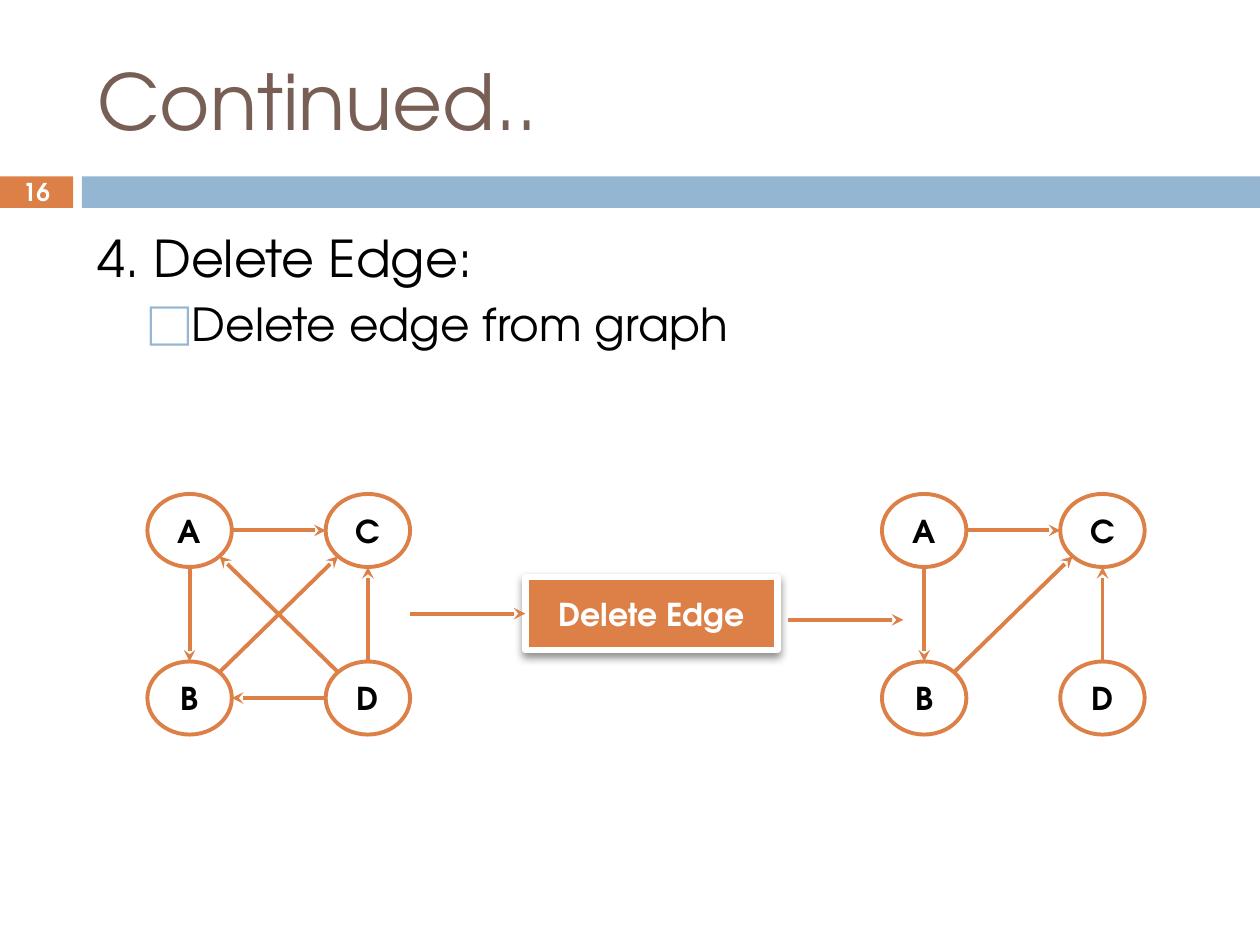
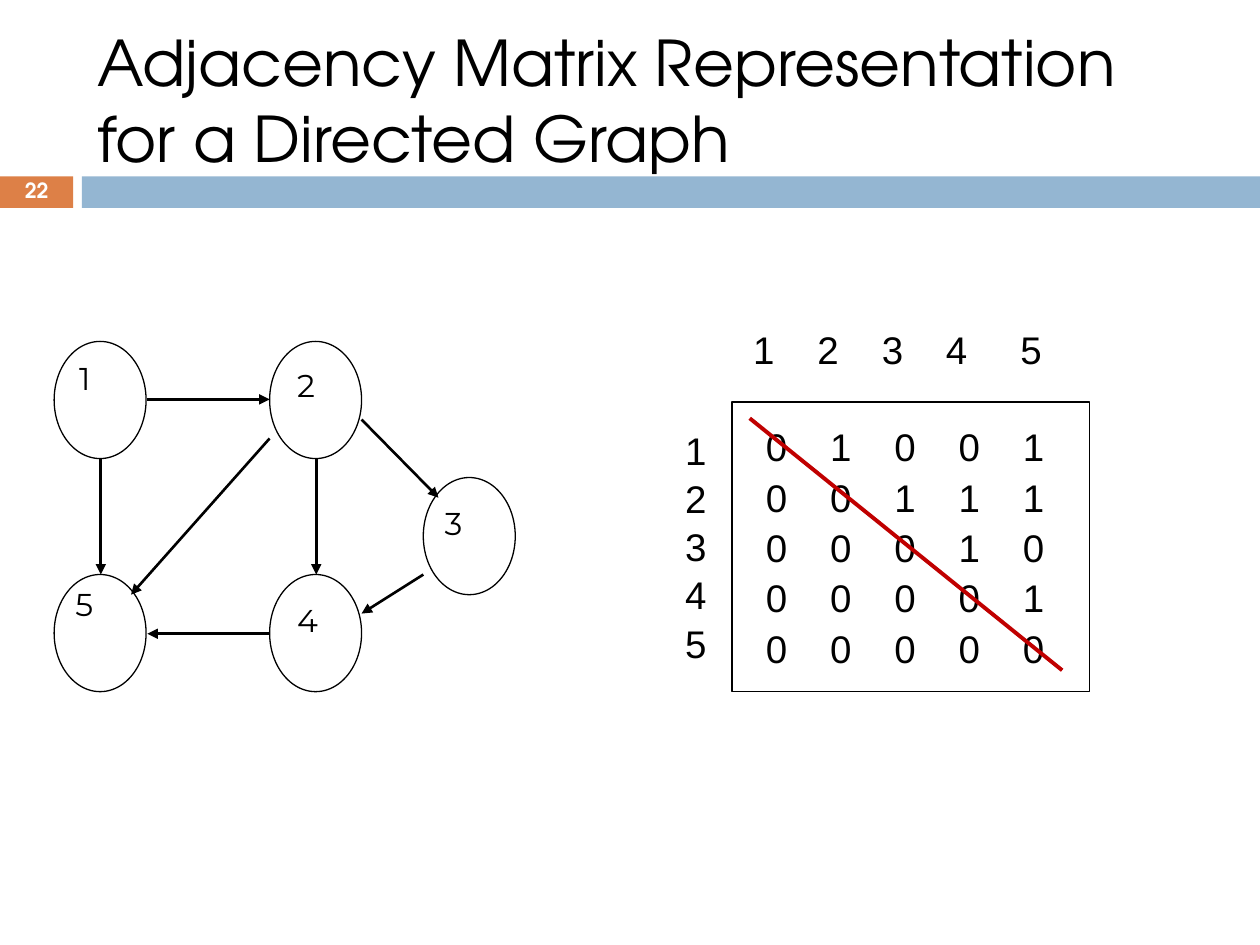
from math import hypot

from lxml import etree
from pptx import Presentation
from pptx.dml.color import RGBColor
from pptx.enum.shapes import MSO_CONNECTOR, MSO_SHAPE
from pptx.enum.text import MSO_ANCHOR, MSO_AUTO_SIZE, PP_ALIGN
from pptx.oxml.ns import qn
from pptx.util import Inches, Pt

LINE = MSO_CONNECTOR.STRAIGHT
RECT = MSO_SHAPE.RECTANGLE
OVAL = MSO_SHAPE.OVAL
LEFT = PP_ALIGN.LEFT
MID = PP_ALIGN.CENTER
TOP = MSO_ANCHOR.TOP
CENTER = MSO_ANCHOR.MIDDLE

ORANGE = "DD8047"
BLUE = "94B6D2"
BROWN = "775F55"
RED = "C00000"
BLACK = "000000"
WHITE = "FFFFFF"
MAIN = "TeX Gyre Adventor"
ARIAL = "Arial"
LABEL = "Montserrat"

NODE_W, NODE_H = 0.67, 0.58
STEP_X, STEP_Y = 1.415, 1.33
SPOTS = {"A": (0, 0), "B": (0, 1), "C": (1, 0), "D": (1, 1)}
RING_W, RING_H = 0.73, 0.93
RINGS = {
    "1": (0.43, 2.71, 0.53, 2.8),
    "2": (2.14, 2.71, 2.26, 2.86),
    "3": (3.36, 3.79, 3.43, 3.95),
    "4": (2.14, 4.56, 2.26, 4.72),
    "5": (0.43, 4.56, 0.5, 4.59),
}
ARROWS = [
    (2.14, 3.48, 1.04, 4.72),
    (0.8, 3.64, 0.8, 4.56),
    (1.17, 3.17, 2.14, 3.17),
    (2.14, 5.03, 1.17, 5.03),
    (2.51, 3.64, 2.51, 4.56),
    (2.87, 3.33, 3.48, 3.95),
    (3.36, 4.56, 2.87, 4.87),
]
ROWS = ["01001", "00111", "00010", "00001", "00000"]
TABS = [0.51, 1.02, 1.53, 2.04]
HEAD_TABS = [0.51, 1.02, 1.53, 2.12]


def color(code):
    return RGBColor.from_string(code)


def add(parent, tag, **attrs):
    return etree.SubElement(parent, qn(tag), attrs)


def place(shape, left, top, width, height):
    shape.left, shape.top = Inches(left), Inches(top)
    shape.width, shape.height = Inches(width), Inches(height)


def set_tabs(para, stops):
    tabs = add(para._p.get_or_add_pPr(), "a:tabLst")
    for stop in stops:
        add(tabs, "a:tab", pos=str(Inches(stop)), algn="l")


def write(shape, *lines, size=18, font=MAIN, ink=BLACK, bold=False,
          align=LEFT, anchor=TOP, gap=0, space=None, tabs=()):
    frame = shape.text_frame
    frame.word_wrap = True
    frame.auto_size = MSO_AUTO_SIZE.NONE
    frame.vertical_anchor = anchor
    for i, line in enumerate(lines):
        para = frame.add_paragraph() if i else frame.paragraphs[0]
        if tabs:
            set_tabs(para, tabs)
        para.alignment = align
        para.space_before = Pt(gap if i else 0)
        if space:
            para.line_spacing = space
        run = para.add_run()
        run.text = line
        run.font.size = Pt(size)
        run.font.name = font
        run.font.bold = bold
        run.font.color.rgb = color(ink)


def add_text(slide, left, top, width, height, *lines, **style):
    box = slide.shapes.add_textbox(
        Inches(left), Inches(top), Inches(width), Inches(height))
    write(box, *lines, **style)


def add_form(slide, kind, left, top, width, height,
             fill=None, line=None, weight=0.75):
    form = slide.shapes.add_shape(
        kind, Inches(left), Inches(top), Inches(width), Inches(height))
    form.shadow.inherit = False
    if fill:
        form.fill.solid()
        form.fill.fore_color.rgb = color(fill)
    else:
        form.fill.background()
    if line:
        form.line.color.rgb = color(line)
        form.line.width = Pt(weight)
    else:
        form.line.fill.background()
    return form


def add_line(slide, x1, y1, x2, y2, ink=ORANGE, weight=2.25, tip=None):
    line = slide.shapes.add_connector(
        LINE, Inches(x1), Inches(y1), Inches(x2), Inches(y2))
    line.line.color.rgb = color(ink)
    line.line.width = Pt(weight)
    if tip:
        add(line.line._get_or_add_ln(), "a:tailEnd", type=tip)
    add(line._element.spPr, "a:effectLst")
    return line


def add_shade(form):
    effects = form._element.spPr.find(qn("a:effectLst"))
    shade = add(effects, "a:outerShdw", blurRad=str(Pt(5)),
                dist=str(Pt(2.4)), dir="5400000", rotWithShape="0")
    add(add(shade, "a:srgbClr", val=BLACK), "a:alpha", val="44000")


def add_page(deck, layout, title, number, size, ink, num_size, space=None):
    slide = deck.slides.add_slide(deck.slide_layouts[layout])
    add_form(slide, RECT, 0, 1.4, 0.58, 0.25, fill=ORANGE)
    add_form(slide, RECT, 0.65, 1.4, 9.35, 0.25, fill=BLUE)
    place(slide.shapes.title, 0.67, 0.25, 8.92, 1.08)
    write(slide.shapes.title, title, size=size, ink=ink, anchor=CENTER)
    add_text(slide, 0, 1.39, 0.58, 0.27, number, size=num_size, ink=WHITE,
             bold=True, align=MID, anchor=CENTER, space=space)
    return slide


def indent(para, left, first, mark=None):
    props = para._p.get_or_add_pPr()
    props.set("marL", str(Inches(left)))
    props.set("indent", str(Inches(first)))
    if mark:
        add(add(props, "a:buClr"), "a:srgbClr", val=BLUE)
        add(props, "a:buChar", char=mark)
    else:
        add(props, "a:buNone")


def add_list(slide):
    body = slide.placeholders[1]
    place(body, 0.67, 1.75, 8.92, 4.92)
    write(body, "4. Delete Edge:", "Delete edge from graph", size=29, gap=5)
    head, item = body.text_frame.paragraphs
    item.level = 1
    item.runs[0].font.size = Pt(26)
    indent(head, 0.35, -0.35)
    indent(item, 0.7, -0.3, "⬜")


def add_graph(slide, left, top, edges):
    for name, (col, row) in SPOTS.items():
        node = add_form(slide, OVAL, left + col * STEP_X, top + row * STEP_Y,
                        NODE_W, NODE_H, WHITE, ORANGE, 2.25)
        write(node, name, bold=True, align=MID, anchor=CENTER)
    for start, end in edges:
        (c1, r1), (c2, r2) = SPOTS[start], SPOTS[end]
        dx, dy = c2 - c1, r2 - r1
        reach = hypot(dx, dy)
        rim_x, rim_y = NODE_W / 2 * dx / reach, NODE_H / 2 * dy / reach
        mid_x, mid_y = left + NODE_W / 2, top + NODE_H / 2
        add_line(slide, mid_x + c1 * STEP_X + rim_x,
                 mid_y + r1 * STEP_Y + rim_y,
                 mid_x + c2 * STEP_X - rim_x,
                 mid_y + r2 * STEP_Y - rim_y, tip="stealth")


def add_rings(slide):
    for name, (left, top, text_x, text_y) in RINGS.items():
        add_form(slide, OVAL, left, top, RING_W, RING_H, line=BLACK)
        add_text(slide, text_x, text_y, 0.54, 0.74, name, font=LABEL)
    for ends in ARROWS:
        add_line(slide, *ends, ink=BLACK, weight=1.5, tip="triangle")


def add_matrix(slide):
    style = {"size": 22, "font": ARIAL}
    add_text(slide, 5.88, 2.54, 2.8, 0.48, "\t".join("12345"),
             tabs=HEAD_TABS, **style)
    add_text(slide, 5.34, 3.34, 0.46, 1.92, *"12345", gap=1.1, **style)
    add_form(slide, RECT, 5.81, 3.19, 2.84, 2.3, line=BLACK)
    for i, row in enumerate(ROWS):
        add_text(slide, 5.98, 3.31 + 0.4 * i, 2.7, 0.48, "\t".join(row),
                 tabs=TABS, **style)
    add_line(slide, 5.95, 3.32, 8.43, 5.32, ink=RED)


def add_delete(deck):
    slide = add_page(deck, 1, "Continued..", "16", 44, BROWN, 14)
    add_list(slide)
    kept = ["AB", "AC", "BC", "DC"]
    add_graph(slide, 1.17, 3.92, kept + ["DA", "DB"])
    add_graph(slide, 7, 3.92, kept)
    box = add_form(slide, RECT, 4.17, 4.58, 2, 0.58, ORANGE, WHITE, 3.75)
    add_shade(box)
    write(box, "Delete Edge", ink=WHITE, bold=True, align=MID, anchor=CENTER)
    into = add_line(slide, 3.25, 4.87, 4.17, 4.87, tip="stealth")
    into.end_connect(box, 1)
    add_line(slide, 6.25, 4.92, 7.17, 4.92, tip="stealth")


def add_directed(deck):
    slide = add_page(
        deck, 5, "Adjacency Matrix Representation for a Directed Graph",
        "22", 36, BLACK, 12, space=0.8)
    add_rings(slide)
    add_matrix(slide)


def main():
    deck = Presentation()
    deck.slide_width, deck.slide_height = Inches(10), Inches(7.5)
    add_delete(deck)
    add_directed(deck)
    deck.save("out.pptx")


if __name__ == "__main__":
    main()
